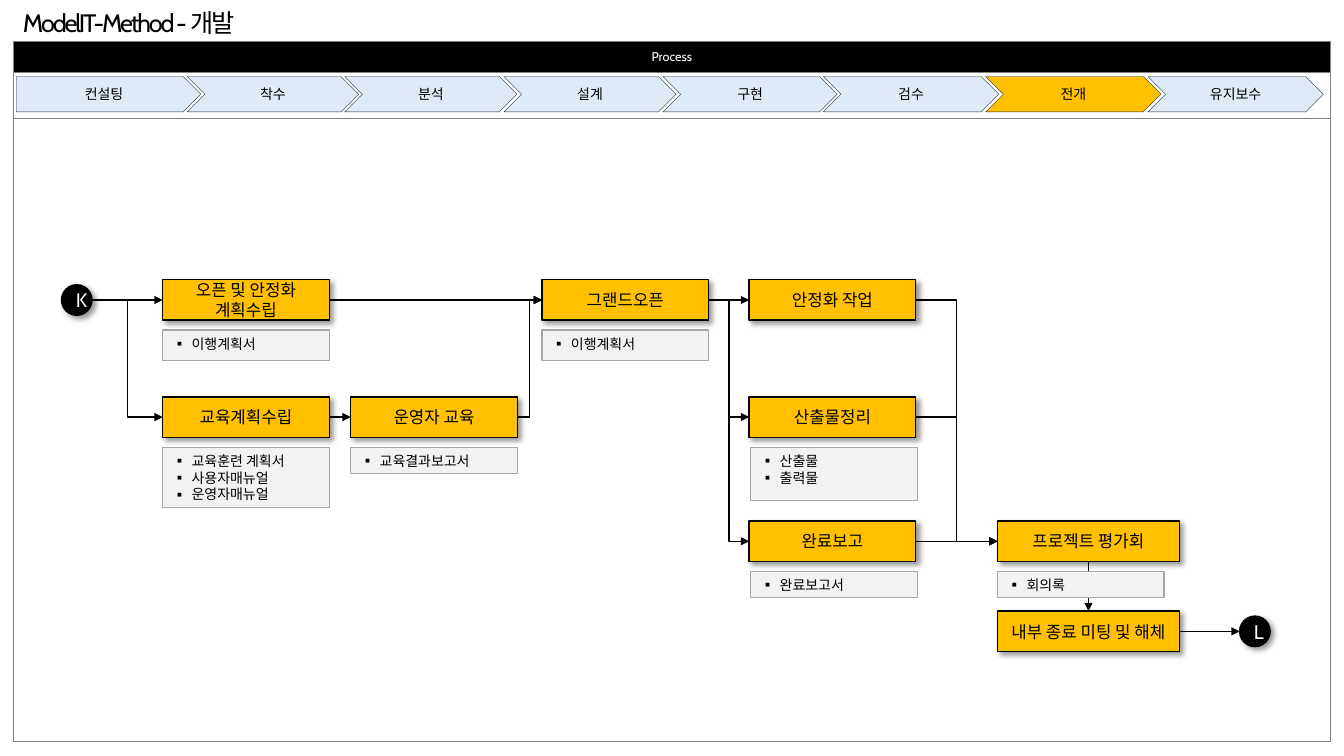
"""Build the rollout phase slide: a stage bar above a process flow."""
import typing

import lxml.etree
import pptx
import pptx.dml.color
import pptx.enum.shapes
import pptx.enum.text
import pptx.oxml
import pptx.oxml.ns
import pptx.util

Cm = pptx.util.Cm
Pt = pptx.util.Pt
Kind = pptx.enum.shapes.MSO_SHAPE
Link = pptx.enum.shapes.MSO_CONNECTOR
Align = pptx.enum.text.PP_ALIGN
Anchor = pptx.enum.text.MSO_ANCHOR
qn = pptx.oxml.ns.qn

BLACK, WHITE, AMBER, BLUE, PALE = "000000", "FFFFFF", "FFC000", "DEEBF7", "F2F2F2"
FONT, KOREAN = "Cabin", "Noto Sans CJK KR"
TALL, WIDE, BROAD, DOT = 1.02, 4.2, 4.58, 0.77
COLS = (4.1, 8.84, 13.66, 18.88, 25.14)
ROWS = (7.05, 10, 13.13, 15.4)
MIDS = tuple(round(top + TALL / 2, 2) for top in ROWS)
ENDS = tuple(round(left + WIDE, 2) for left in COLS)
NOTE_GAP = 1.27


class Stage(typing.NamedTuple):
    text: str
    left: float
    width: float


class Step(typing.NamedTuple):
    text: str
    col: int
    row: int
    width: float = WIDE


class Note(typing.NamedTuple):
    lines: tuple[str, ...]
    left: float
    row: int
    height: float


class Dot(typing.NamedTuple):
    text: str
    left: float
    mid: float


class Arrow(typing.NamedTuple):
    x1: float
    y1: float
    x2: float
    y2: float


STAGES = (
    Stage("컨설팅", 0.41, 4.65), Stage("착수", 4.72, 4.32),
    Stage("분석", 8.69, 4.34), Stage("설계", 12.7, 4.34),
    Stage("구현", 16.71, 4.39), Stage("검수", 20.75, 4.42),
    Stage("전개", 24.84, 4.42), Stage("유지보수", 28.93, 4.42),
)
STEPS = (
    Step("오픈 및 안정화 계획수립", 0, 0), Step("교육계획수립", 0, 1),
    Step("운영자 교육", 1, 1), Step("그랜드오픈", 2, 0),
    Step("안정화 작업", 3, 0), Step("산출물정리", 3, 1),
    Step("완료보고", 3, 2), Step("프로젝트 평가회", 4, 2, BROAD),
    Step("내부 종료 미팅 및 해체", 4, 3, BROAD),
)
NOTES = (
    Note(("이행계획서",), COLS[0], 0, 0.76),
    Note(("교육훈련 계획서", "사용자매뉴얼", "운영자매뉴얼"), COLS[0], 1, 1.52),
    Note(("교육결과보고서",), COLS[1], 1, 0.66),
    Note(("이행계획서",), COLS[2], 0, 0.76),
    Note(("산출물", "출력물"), 18.92, 1, 1.35),
    Note(("완료보고서",), 18.92, 2, 0.66),
    Note(("회의록",), COLS[4], 2, 0.66),
)
DOTS = (Dot("K", 1.55, MIDS[0]), Dot("L", 31.24, MIDS[3]))
START = DOTS[0].left + DOT
HUB = COLS[4] + BROAD / 2
ARROWS = (
    Arrow(START, MIDS[0], COLS[0], MIDS[0]),
    Arrow(START, MIDS[0], COLS[0], MIDS[1]),
    Arrow(ENDS[0], MIDS[0], COLS[2], MIDS[0]),
    Arrow(ENDS[0], MIDS[1], COLS[1], MIDS[1]),
    Arrow(ENDS[1], MIDS[1], COLS[2], MIDS[0]),
    *(Arrow(ENDS[2], MIDS[0], COLS[3], mid) for mid in MIDS[:3]),
    *(Arrow(ENDS[3], mid, COLS[4], MIDS[2]) for mid in MIDS[:3]),
    Arrow(HUB, ROWS[2] + TALL, HUB, ROWS[3]),
    Arrow(COLS[4] + BROAD, MIDS[3], DOTS[1].left, MIDS[3]),
)


def tint(code: str) -> pptx.dml.color.RGBColor:
    return pptx.dml.color.RGBColor.from_string(code)


def write(para, text: str, size: float, color: str = BLACK, font: str = FONT):
    run = para.add_run()
    run.text = text
    run.font.size = Pt(size)
    run.font.name = font
    run.font.color.rgb = tint(color)
    return run


def block(slide, kind, left: float, top: float, width: float, height: float,
          fill: str, edge: str, weight: float = 1):
    shape = slide.shapes.add_shape(kind, Cm(left), Cm(top), Cm(width), Cm(height))
    shape.shadow.inherit = False
    shape.fill.solid()
    shape.fill.fore_color.rgb = tint(fill)
    shape.line.color.rgb = tint(edge)
    shape.line.width = Pt(weight)
    shape.text_frame.word_wrap = True
    shape.text_frame.vertical_anchor = Anchor.MIDDLE
    return shape


def label(shape, text: str, size: float, color: str = BLACK) -> None:
    para = shape.text_frame.paragraphs[0]
    para.alignment = Align.CENTER
    write(para, text, size, color)


def shade(shape) -> None:
    effects = shape._element.spPr.find(qn("a:effectLst"))
    effects.append(pptx.oxml.parse_xml(
        '<a:outerShdw xmlns:a="http://schemas.openxmlformats.org/drawingml/2006/main"'
        ' blurRad="50800" dist="38100" dir="2700000" algn="tl" rotWithShape="0">'
        '<a:srgbClr val="000000"><a:alpha val="40000"/></a:srgbClr></a:outerShdw>'))


def draw_frame(slide) -> None:
    grid = slide.shapes.add_table(3, 1, Cm(0.33), Cm(1.04), Cm(33.2), Cm(17.63)).table
    for row, height in zip(grid.rows, (0.79, 1.14, 15.7)):
        row.height = Cm(height)
    for cell in grid.iter_cells():
        props = cell._tc.get_or_add_tcPr()
        for side in ("a:lnL", "a:lnR", "a:lnT", "a:lnB"):
            line = lxml.etree.SubElement(props, qn(side), w=str(Pt(0.5)))
            fill = lxml.etree.SubElement(line, qn("a:solidFill"))
            lxml.etree.SubElement(fill, qn("a:srgbClr"), val="808080")
        cell.fill.background()
    head = grid.cell(0, 0)
    head.fill.solid()
    head.fill.fore_color.rgb = tint(BLACK)
    head.vertical_anchor = Anchor.MIDDLE
    label(head, "Process", 9, WHITE)


def draw_stage(slide, stage: Stage) -> None:
    kind = Kind.PENTAGON if stage == STAGES[0] else Kind.CHEVRON
    fill = AMBER if stage.text == "전개" else BLUE
    shape = block(slide, kind, stage.left, 1.93, stage.width, 0.89, fill, "222A35", 0.25)
    label(shape, stage.text, 10)


def draw_step(slide, step: Step) -> None:
    shape = block(slide, Kind.RECTANGLE, COLS[step.col], ROWS[step.row],
                  step.width, TALL, AMBER, BLACK)
    shade(shape)
    label(shape, step.text, 12)


def draw_dot(slide, dot: Dot) -> None:
    shape = block(slide, Kind.OVAL, dot.left, dot.mid - DOT / 2, DOT, DOT, BLACK, BLACK)
    shade(shape)
    label(shape, dot.text, 14, WHITE)


def draw_note(slide, note: Note) -> None:
    shape = block(slide, Kind.RECTANGLE, note.left, ROWS[note.row] + NOTE_GAP,
                  WIDE, note.height, PALE, "A6A6A6")
    frame = shape.text_frame
    frame.vertical_anchor = Anchor.TOP
    for spot, text in enumerate(note.lines):
        para = frame.add_paragraph() if spot else frame.paragraphs[0]
        para.alignment = Align.LEFT
        props = para._p.get_or_add_pPr()
        props.set("marL", str(Cm(0.48)))
        props.set("indent", str(Cm(-0.48)))
        lxml.etree.SubElement(props, qn("a:buFont"), typeface=KOREAN)
        lxml.etree.SubElement(props, qn("a:buChar"), char="▪")
        write(para, text, 10, font=KOREAN)


def draw_arrow(slide, arrow: Arrow) -> None:
    flat = arrow.x1 == arrow.x2 or arrow.y1 == arrow.y2
    line = slide.shapes.add_connector(Link.STRAIGHT if flat else Link.ELBOW,
                                      *(Cm(value) for value in arrow))
    line.line.color.rgb = tint(BLACK)
    line.line.width = Pt(1)
    lxml.etree.SubElement(line.line._get_or_add_ln(), qn("a:tailEnd"), type="triangle")
    lxml.etree.SubElement(line._element.spPr, qn("a:effectLst"))


def draw_title(slide) -> None:
    box = slide.shapes.add_textbox(Cm(0.33), Cm(0.05), Cm(8), Cm(1.02))
    box.text_frame.word_wrap = True
    run = write(box.text_frame.paragraphs[0], "ModelIT-Method - 개발", 18)
    run.font._element.set("spc", "-150")


def main() -> None:
    deck = pptx.Presentation()
    deck.slide_width, deck.slide_height = Cm(33.87), Cm(19.05)
    slide = deck.slides.add_slide(deck.slide_layouts[6])
    draw_frame(slide)
    for draw, items in ((draw_stage, STAGES), (draw_arrow, ARROWS), (draw_step, STEPS),
                        (draw_dot, DOTS), (draw_note, NOTES)):
        for item in items:
            draw(slide, item)
    draw_title(slide)
    deck.save("out.pptx")


if __name__ == "__main__":
    main()
